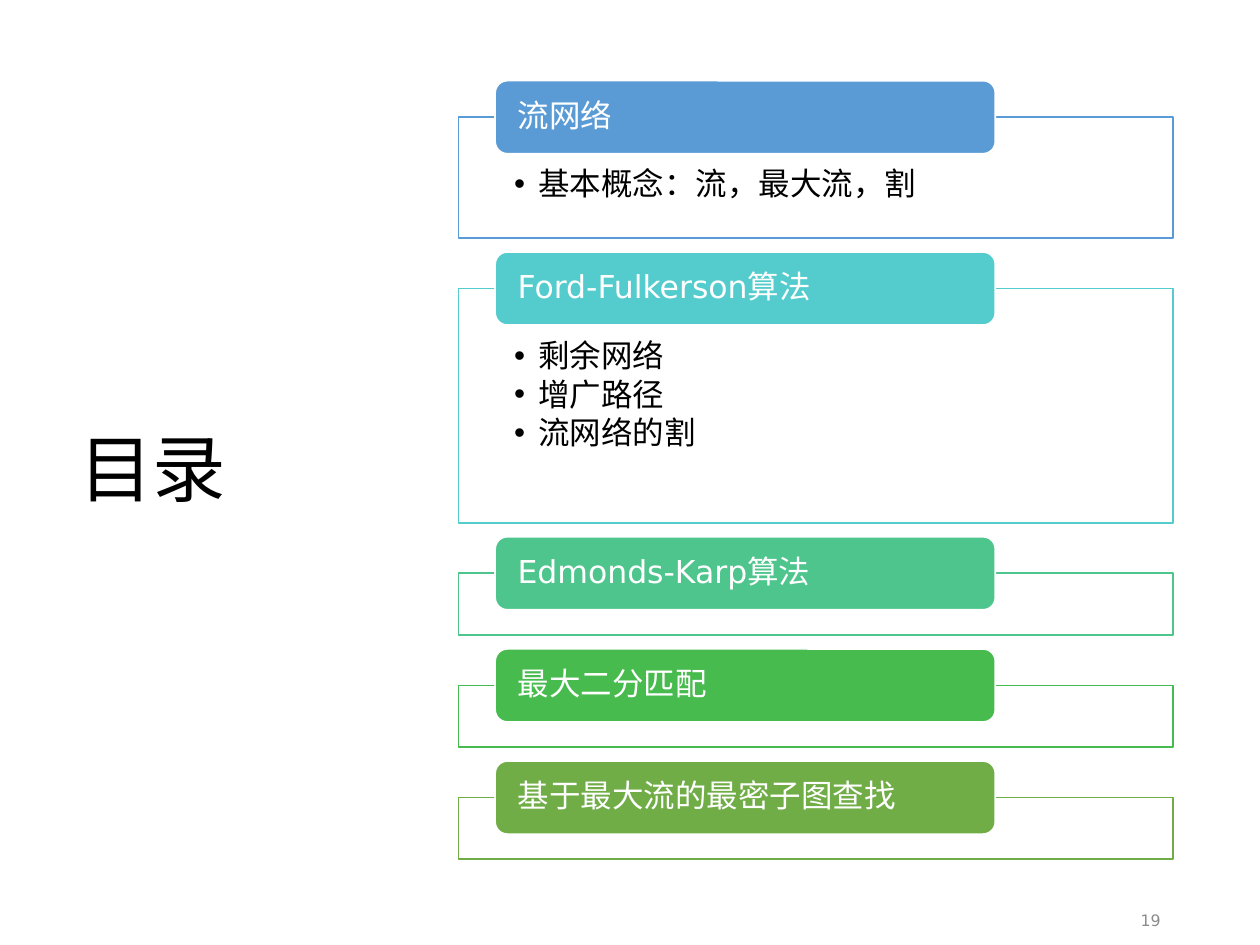
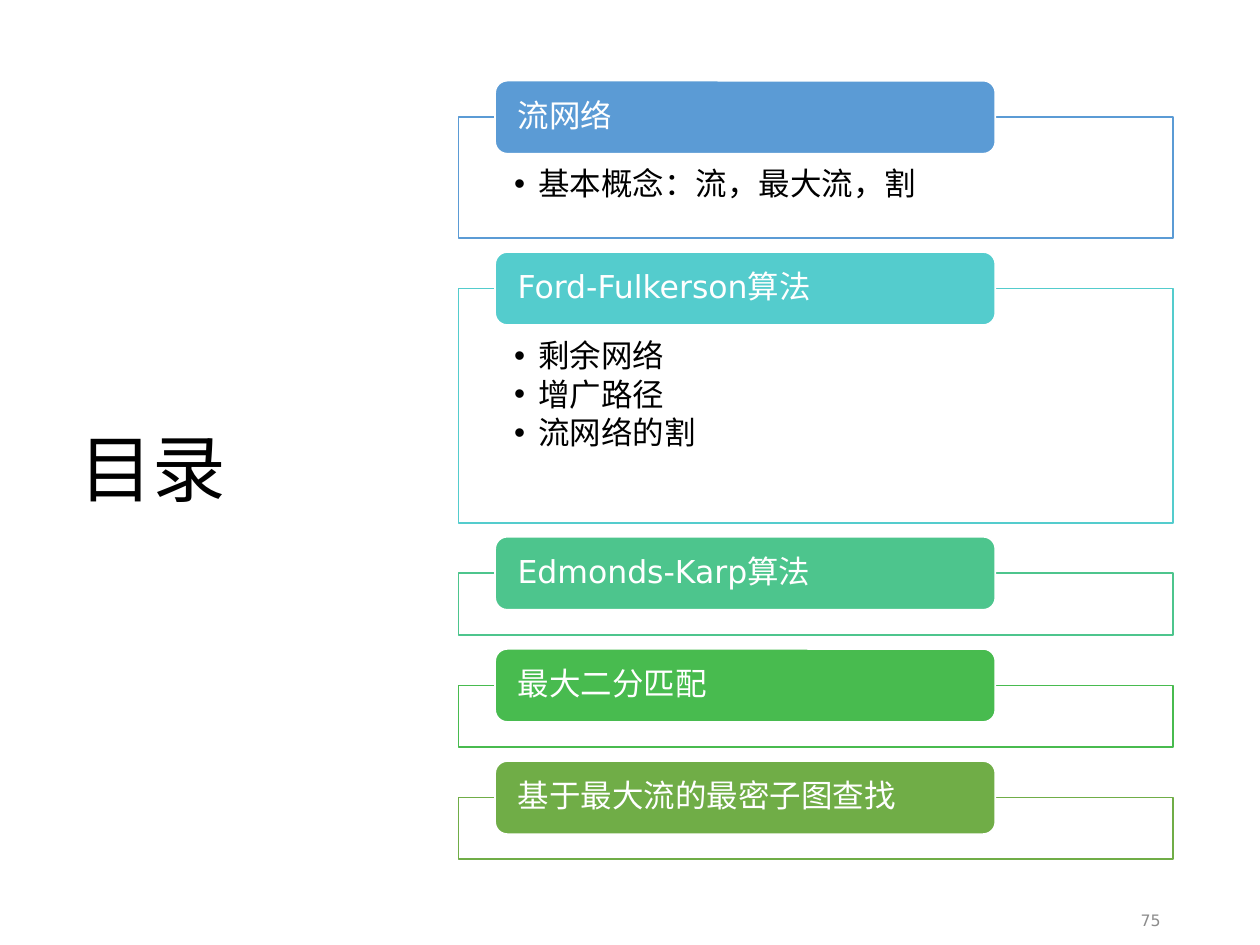
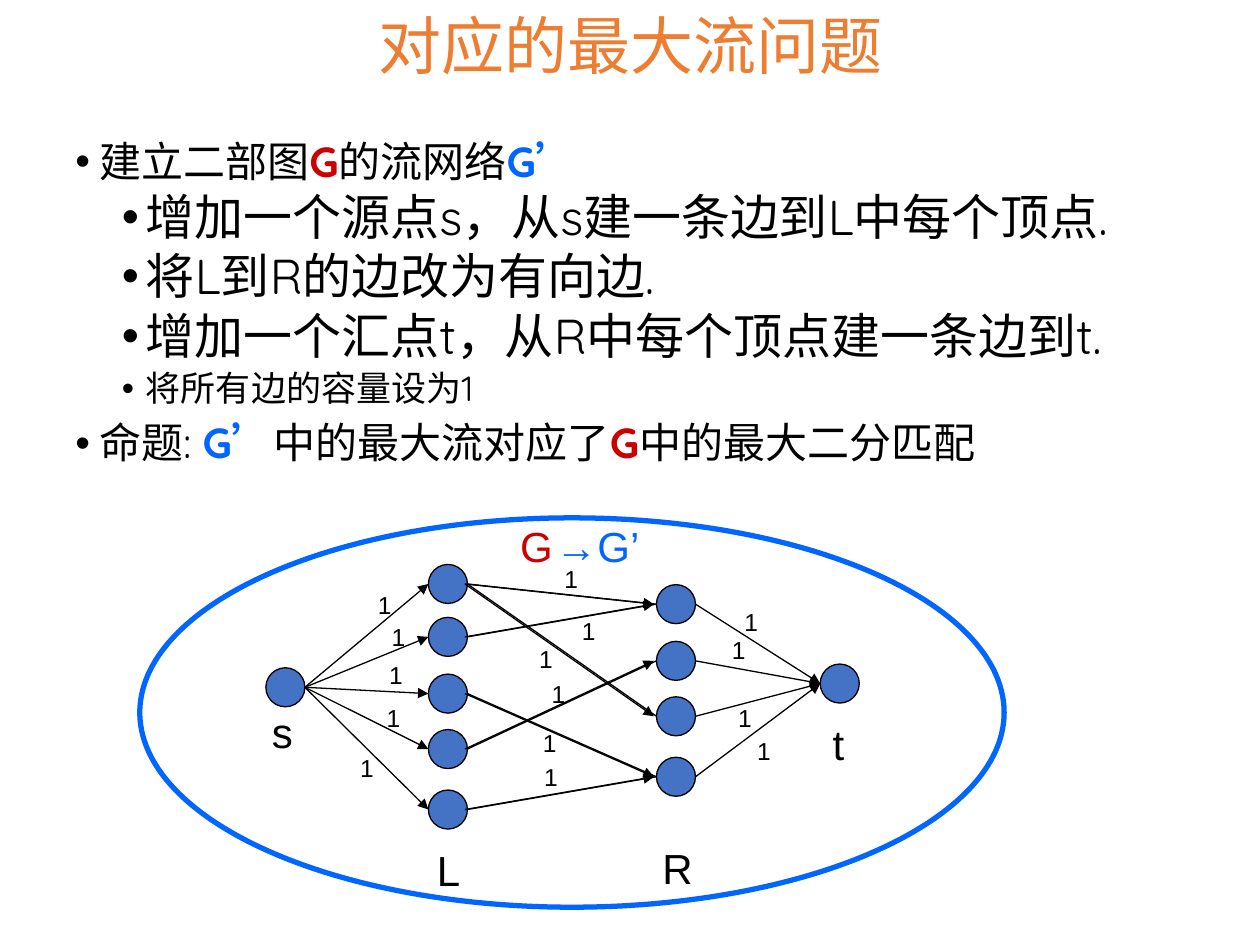
from pptx import Presentation
from pptx.dml.color import RGBColor
from pptx.enum.shapes import MSO_CONNECTOR, MSO_SHAPE
from pptx.enum.text import MSO_ANCHOR, MSO_AUTO_SIZE, PP_ALIGN
from pptx.oxml.ns import qn
from pptx.util import Inches, Pt
from lxml import etree

BLACK, WHITE, GREY, ORANGE = "000000", "FFFFFF", "8C8C8C", "ED7D31"
RED, BLUE, NODE_FILL = "CC0000", "0066FF", "4472C4"
SANS, TITLE_FONT, BODY_FONT, LABEL_FONT = "DejaVu Sans", "DejaVu Sans Mono", "Quicksand", "Arial"

# Contents slides: heading, colour, panel height, points
AGENDA_TITLE = "目录"
AGENDA_PAGES = ["19", "75"]
AGENDA = [
    ("流网络", "5B9BD5", 0.96, ["基本概念：流，最大流，割"]),
    ("Ford-Fulkerson算法", "54CCCD", 1.86, ["剩余网络", "增广路径", "流网络的割"]),
    ("Edmonds-Karp算法", "4DC58D", 0.49, []),
    ("最大二分匹配", "48BB4F", 0.49, []),
    ("基于最大流的最密子图查找", "70AD47", 0.49, []),
]

# Flow slide: level, size, runs of (text, colour)
FLOW_TITLE = "对应的最大流问题"
FLOW_POINTS = [
    (0, 24, [("建立二部图", BLACK), ("G", RED), ("的流网络", BLACK), ("G’", BLUE)]),
    (1, 28, [("增加一个源点s，从s建一条边到L中每个顶点.", BLACK)]),
    (1, 28, [("将L到R的边改为有向边.", BLACK)]),
    (1, 28, [("增加一个汇点t，从R中每个顶点建一条边到t.", BLACK)]),
    (1, 20, [("将所有边的容量设为1", BLACK)]),
    (0, 24, [("命题: ", BLACK), ("G’", BLUE), ("中的最大流对应了", BLACK),
             ("G", RED), ("中的最大二分匹配", BLACK)]),
]

# Network: node corners, matching edges by index, labels
NODE_SIZE = 0.31
SOURCE, SINK = (2.11, 5.3), (6.51, 5.27)
LEFT_NODES = [(3.4, y) for y in (4.48, 4.9, 5.35, 5.79, 6.27)]
RIGHT_NODES = [(5.21, y) for y in (4.64, 5.09, 5.53, 6.01)]
MATCH_EDGES = [(0, 0), (0, 2), (3, 1), (4, 3), (1, 0), (2, 3)]
NETWORK_LABELS = [
    ("s", 2.06, 5.56, 0.39, BLACK), ("L", 3.37, 6.65, 0.4, BLACK),
    ("R", 5.16, 6.64, 0.44, BLACK), ("t", 6.51, 5.65, 0.31, BLACK),
    ("G", 4.03, 4.08, 0.46, RED), ("→G’", 4.31, 4.08, 0.88, BLUE),
]
CAPACITY = "1"
CAPACITY_SPOTS = [
    (2.9, 4.63), (3.01, 4.89), (2.99, 5.19), (2.97, 5.53), (2.76, 5.93),
    (4.38, 4.43), (4.52, 4.84), (4.18, 5.06), (4.28, 5.34), (4.21, 5.73), (4.22, 6),
    (5.91, 5.79), (5.76, 5.53), (5.71, 4.99), (5.81, 4.77),
]


def rgb(colour):
    return RGBColor.from_string(colour)


def style(paragraph, font, size, colour=None, align=PP_ALIGN.LEFT):
    paragraph.alignment = align
    paragraph.font.name = font
    paragraph.font.size = Pt(size)
    if colour:
        paragraph.font.color.rgb = rgb(colour)


def bullet(paragraph, left):
    properties = paragraph._p.get_or_add_pPr()
    properties.set("marL", str(Inches(left)))
    properties.set("indent", str(Inches(-0.19)))
    etree.SubElement(properties, qn("a:buFont")).set("typeface", "Arial")
    etree.SubElement(properties, qn("a:buChar")).set("char", "•")
    paragraph.line_spacing = 0.9


def set_insets(frame, left, top, right, bottom):
    frame.margin_left, frame.margin_top = Inches(left), Inches(top)
    frame.margin_right, frame.margin_bottom = Inches(right), Inches(bottom)


def add_slide(deck, title, box, size, colour, align):
    slide = deck.slides.add_slide(deck.slide_layouts[5])
    heading = slide.shapes.title
    heading.left, heading.top, heading.width, heading.height = map(Inches, box)
    frame = heading.text_frame
    frame.text = title
    frame.auto_size = MSO_AUTO_SIZE.NONE
    frame.vertical_anchor = MSO_ANCHOR.MIDDLE
    frame.paragraphs[0].line_spacing = 0.9
    style(frame.paragraphs[0], TITLE_FONT, size, colour, align)
    return slide


def add_box(slide, kind, box, fill, line, width):
    shape = slide.shapes.add_shape(kind, *map(Inches, box))
    shape.shadow.inherit = False
    if fill:
        shape.fill.solid()
        shape.fill.fore_color.rgb = rgb(fill)
    else:
        shape.fill.background()
    shape.line.color.rgb = rgb(line)
    shape.line.width = Pt(width)
    return shape


def add_label(slide, text, left, top, width, height, size, colour):
    label = slide.shapes.add_textbox(*map(Inches, (left, top, width, height)))
    frame = label.text_frame
    frame.text = text
    frame.word_wrap = False
    frame.auto_size = MSO_AUTO_SIZE.SHAPE_TO_FIT_TEXT
    style(frame.paragraphs[0], LABEL_FONT, size, colour)


def add_edge(slide, start, end, shift=0, arrow=True):
    """Run from the right side of one node to the left side of the next."""
    middle = NODE_SIZE / 2
    edge = slide.shapes.add_connector(
        MSO_CONNECTOR.STRAIGHT,
        Inches(start[0] + NODE_SIZE + shift), Inches(start[1] + middle),
        Inches(end[0] + shift), Inches(end[1] + middle))
    edge.line.color.rgb = rgb(BLACK)
    edge.line.width = Pt(0.75)
    if arrow:
        etree.SubElement(edge.line._get_or_add_ln(), qn("a:tailEnd")).set("type", "triangle")
    etree.SubElement(edge._element.spPr, qn("a:effectLst"))


def add_agenda_slide(deck, page):
    slide = add_slide(deck, AGENDA_TITLE, (0.53, 1.2, 3.11, 5.1), 42, BLACK, PP_ALIGN.LEFT)

    # Page number
    number = slide.shapes.add_textbox(*map(Inches, (7.06, 7.1, 2.25, 0.4))).text_frame
    number.text = page
    number.word_wrap = True
    number.vertical_anchor = MSO_ANCHOR.MIDDLE
    number.paragraphs[0].space_after = Pt(6)
    style(number.paragraphs[0], SANS, 9, GREY, PP_ALIGN.RIGHT)

    # Panels, each with a tab over its top edge
    top = 0.93
    for heading, colour, height, points in AGENDA:
        panel = add_box(slide, MSO_SHAPE.RECTANGLE, (3.64, top, 5.67, height), WHITE, colour, 1)
        white = panel._element.spPr.find(qn("a:solidFill"))[0]
        etree.SubElement(white, qn("a:alpha")).set("val", "90000")
        frame = panel.text_frame
        frame.vertical_anchor = MSO_ANCHOR.TOP
        set_insets(frame, 0.44, 0.41, 0.44, 0.14)
        for i, point in enumerate(points):
            paragraph = frame.add_paragraph() if i else frame.paragraphs[0]
            paragraph.text = point
            paragraph.level = 1
            bullet(paragraph, 0.19)
            paragraph.space_after = Pt(2.7)
            style(paragraph, SANS, 18, BLACK)

        tab = add_box(slide, MSO_SHAPE.ROUNDED_RECTANGLE, (3.93, top - 0.29, 3.97, 0.58),
                      colour, WHITE, 1).text_frame
        tab.text = heading
        tab.vertical_anchor = MSO_ANCHOR.MIDDLE
        set_insets(tab, 0.15, 0, 0.15, 0)
        tab.paragraphs[0].line_spacing = 0.9
        style(tab.paragraphs[0], SANS, 18, WHITE)
        top += height + 0.4


def add_flow_slide(deck):
    slide = add_slide(deck, FLOW_TITLE, (0.5, -0.07, 9, 0.92), 36, ORANGE, PP_ALIGN.CENTER)

    # Points
    body = slide.shapes.add_textbox(*map(Inches, (0.5, 1.07, 9.17, 2.86))).text_frame
    body.word_wrap = True
    for i, (level, size, runs) in enumerate(FLOW_POINTS):
        paragraph = body.add_paragraph() if i else body.paragraphs[0]
        paragraph.level = level
        bullet(paragraph, 0.56 if level else 0.19)
        if i:
            paragraph.space_before = Pt(3.8 if level else 7.5)
        style(paragraph, BODY_FONT, size)
        for text, colour in runs:
            run = paragraph.add_run()
            run.text = text
            run.font.bold = colour != BLACK
            run.font.color.rgb = rgb(colour)

    # Nodes inside the outline
    add_box(slide, MSO_SHAPE.OVAL, (1.11, 4.11, 6.86, 3.09), None, BLUE, 3)
    for left, top in [SOURCE, *LEFT_NODES, *RIGHT_NODES, SINK]:
        add_box(slide, MSO_SHAPE.OVAL, (left, top, NODE_SIZE, NODE_SIZE), NODE_FILL, BLACK, 0.75)

    # Edges: the bipartite graph, then the directed network over it
    for shift, arrow in [(0, False), (-0.02, True)]:
        for left, right in MATCH_EDGES:
            add_edge(slide, LEFT_NODES[left], RIGHT_NODES[right], shift, arrow)
    for node in LEFT_NODES:
        add_edge(slide, SOURCE, node)
    for node in RIGHT_NODES:
        add_edge(slide, node, SINK)

    # Labels and capacities
    for text, left, top, width, colour in NETWORK_LABELS:
        add_label(slide, text, left, top, width, 0.5, 24, colour)
    for left, top in CAPACITY_SPOTS:
        add_label(slide, CAPACITY, left, top, 0.31, 0.33, 14, BLACK)


def main():
    deck = Presentation()
    deck.slide_width, deck.slide_height = Inches(10), Inches(7.5)
    for page in AGENDA_PAGES:
        add_agenda_slide(deck, page)
    add_flow_slide(deck)
    deck.save("out.pptx")


if __name__ == "__main__":
    main()
